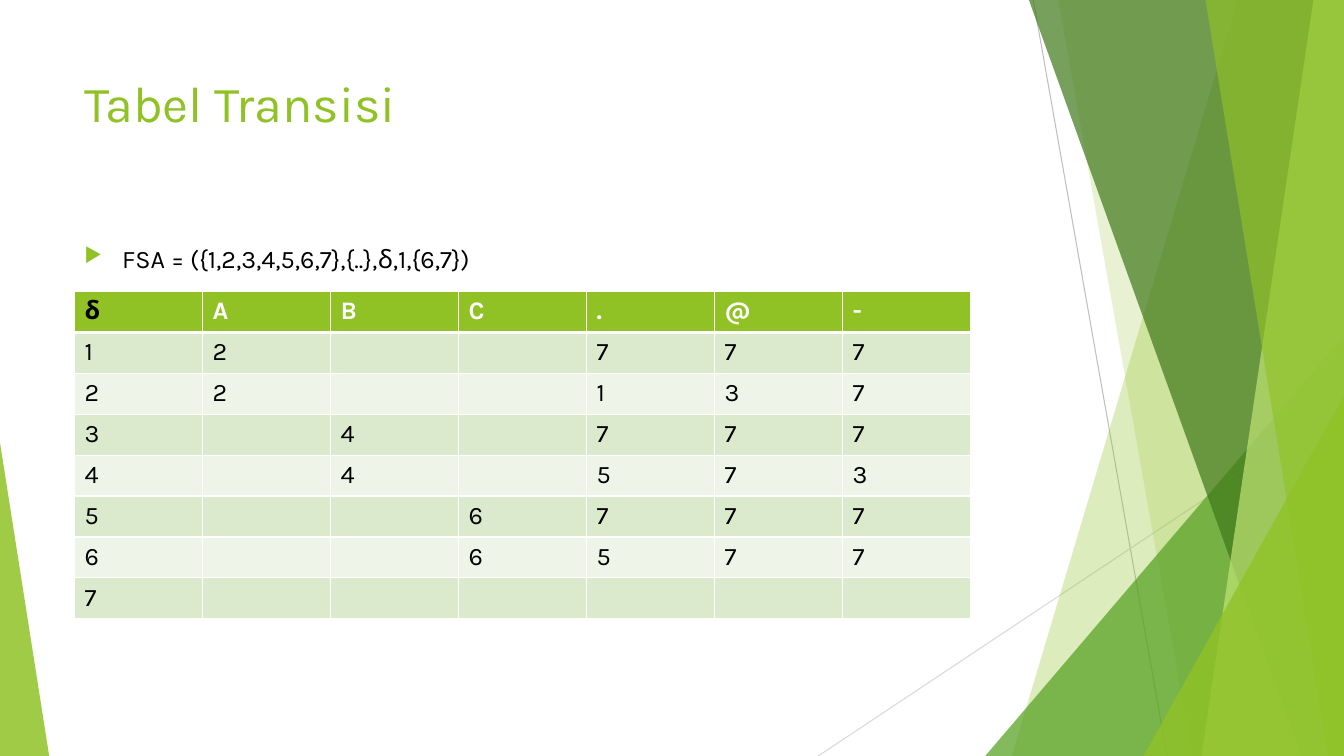
"""Builds the transition table slide of a finite state automaton."""
from lxml import etree
from pptx import Presentation
from pptx import util as u
from pptx.dml.color import RGBColor
from pptx.enum import shapes, text
from pptx.oxml import ns

FONT = "Karla"
WHITE = RGBColor(0xFF, 0xFF, 0xFF)
BLACK = RGBColor(0x00, 0x00, 0x00)
LIME = RGBColor(0x90, 0xC2, 0x26)
PALE_LIME = RGBColor(0xC0, 0xE4, 0x74)
LEAF = RGBColor(0x54, 0xA0, 0x21)
FOREST = RGBColor(0x3F, 0x78, 0x19)
GREY = RGBColor(0xBF, 0xBF, 0xBF)
LIGHT_GREY = RGBColor(0xD9, 0xD9, 0xD9)
ODD_ROW = RGBColor(0xDB, 0xE9, 0xCD)
EVEN_ROW = RGBColor(0xEE, 0xF4, 0xE8)

HEADINGS = ["δ", "A", "B", "C", ".", "@", "-"]
TRANSITIONS = [
    ["1", "2", "", "", "7", "7", "7"],
    ["2", "2", "", "", "1", "3", "7"],
    ["3", "", "4", "", "7", "7", "7"],
    ["4", "", "4", "", "5", "7", "3"],
    ["5", "", "", "6", "7", "7", "7"],
    ["6", "", "", "6", "5", "7", "7"],
    ["7", "", "", "", "", "", ""],
]


def add_child(parent, tag, **attributes):
    """Append a DrawingML element and return it."""
    child = etree.SubElement(parent, ns.qn(tag))
    for name, value in attributes.items():
        child.set(name, str(value))
    return child


def write(frame, wording, size=18, color=BLACK, bold=False):
    """Put formatted wording in the first paragraph and return that paragraph."""
    paragraph = frame.paragraphs[0]
    paragraph.font.size = u.Pt(size)
    if wording:
        run = paragraph.add_run()
        run.text = wording
        run.font.name = FONT
        run.font.size = u.Pt(size)
        run.font.bold = bold
        run.font.color.rgb = color
    return paragraph


def add_text_area(slide, box):
    """Add a wrapping, top-anchored text box and return its frame."""
    frame = slide.shapes.add_textbox(*box).text_frame
    frame.word_wrap = True
    frame.vertical_anchor = text.MSO_ANCHOR.TOP
    return frame


def tint(shape, color, opacity):
    """Fill a shape with a translucent colour, without outline or shadow."""
    shape.shadow.inherit = False
    shape.line.fill.background()
    shape.fill.solid()
    shape.fill.fore_color.rgb = color
    rgb = shape.fill._xPr.find(f".//{ns.qn('a:srgbClr')}")
    add_child(rgb, "a:alpha", val=opacity * 1000)


def add_ray(slide, start, end, color):
    """Draw a thin straight line."""
    ray = slide.shapes.add_connector(shapes.MSO_CONNECTOR.STRAIGHT, *start, *end)
    ray.line.color.rgb = color
    ray.line.width = u.Pt(0.75)
    add_child(ray._element.spPr, "a:effectLst")


def add_band(slide, box, upper, lower, color, opacity):
    """Fill the box to the right of a slanted edge."""
    left, top, width, height = box
    right, bottom = left + width, top + height
    outline = slide.shapes.build_freeform(left + u.Cm(upper), top)
    outline.add_line_segments(
        [(right, top), (right, bottom), (left + u.Cm(lower), bottom)], close=True)
    tint(outline.convert_to_shape(), color, opacity)


def add_corner(slide, box, width, height, color, opacity, peak):
    """Fill a lower corner of the box: peak 0 is left, peak 1 is right."""
    left, top, box_width, box_height = box
    width, height = u.Cm(width), u.Cm(height)
    corner = slide.shapes.add_shape(
        shapes.MSO_SHAPE.ISOSCELES_TRIANGLE,
        left + peak * (box_width - width), top + box_height - height, width, height)
    corner.adjustments[0] = peak
    tint(corner, color, opacity)


def add_facets(slide, box):
    """Draw the rays and overlapping green facets."""
    left, top, width, height = box
    bottom = top + height
    add_ray(slide, (left + u.Cm(26.04), top), (left + u.Cm(29.41), bottom), GREY)
    add_ray(slide, (left + width, top + u.Cm(10.24)), (left + u.Cm(20.62), bottom),
            LIGHT_GREY)
    add_band(slide, box, 31.19, 25.5, LIME, 30)
    add_band(slide, box, 26.67, 30.05, LIME, 20)
    add_corner(slide, box, 9.04, 10.59, LEAF, 72, peak=1)
    add_band(slide, box, 25.93, 32.79, FOREST, 70)
    add_band(slide, box, 33.1, 30.28, PALE_LIME, 70)
    add_band(slide, box, 30.38, 33.48, LIME, 65)
    add_corner(slide, box, 5.05, 9.07, LIME, 80, peak=1)
    add_corner(slide, box, 1.24, 7.9, LIME, 85, peak=0)


def add_title(slide, box):
    """Write the slide title."""
    write(add_text_area(slide, box), "Tabel Transisi", size=36, color=LIME)


def add_definition(slide, box):
    """Write the bulleted definition of the automaton."""
    definition = write(add_text_area(slide, box),
                       "FSA = ({1,2,3,4,5,6,7},{..},δ,1,{6,7})")
    definition.space_before = u.Pt(10)
    properties = definition._p.get_or_add_pPr()
    properties.set("marL", str(u.Cm(0.95)))
    properties.set("indent", str(-u.Cm(0.95)))
    bullet_color = add_child(properties, "a:buClr")
    add_child(bullet_color, "a:srgbClr", val=LIME)
    add_child(properties, "a:buSzPct", val=80000)
    add_child(properties, "a:buChar", char="▶")
    default_run = properties.find(ns.qn("a:defRPr"))
    if default_run is not None:
        properties.append(default_run)


def style_cell(cell, fill, top=1, bottom=1):
    """Give a cell white borders and a solid fill."""
    properties = cell._tc.get_or_add_tcPr()
    for side, points in (("L", 1), ("R", 1), ("T", top), ("B", bottom)):
        border = add_child(properties, f"a:ln{side}", w=u.Pt(points))
        add_child(add_child(border, "a:solidFill"), "a:srgbClr", val=WHITE)
    cell.fill.solid()
    cell.fill.fore_color.rgb = fill


def add_transitions(slide, box):
    """Build the transition table with a heading row and banded states."""
    left, top, width, height = box
    rows = [HEADINGS] + TRANSITIONS
    table = slide.shapes.add_table(len(rows), len(HEADINGS), *box).table
    for column in table.columns:
        column.width = width // len(HEADINGS)
    for row in table.rows:
        row.height = height // len(rows)
    for r, values in enumerate(rows):
        for c, value in enumerate(values):
            cell = table.cell(r, c)
            if r == 0:
                style_cell(cell, LIME, bottom=3)
                write(cell.text_frame, value, color=WHITE if c else BLACK, bold=True)
            else:
                style_cell(cell, ODD_ROW if r % 2 else EVEN_ROW, top=3 if r == 1 else 1)
                write(cell.text_frame, value)


def main():
    """Assemble the slide and save it."""
    deck = Presentation()
    deck.slide_width, deck.slide_height = u.Cm(33.87), u.Cm(19.05)
    slide = deck.slides.add_slide(deck.slide_layouts[6])
    margin, text_width = u.Cm(1.88), u.Cm(23.88)
    add_facets(slide, (0, 0, deck.slide_width, deck.slide_height))
    add_title(slide, (margin, u.Cm(1.7), text_width, u.Cm(3.66)))
    add_definition(slide, (margin, u.Cm(6), text_width, u.Cm(10.77)))
    add_transitions(slide, (margin, u.Cm(7.35), u.Cm(22.58), u.Cm(8.24)))
    deck.save("out.pptx")


if __name__ == "__main__":
    main()
